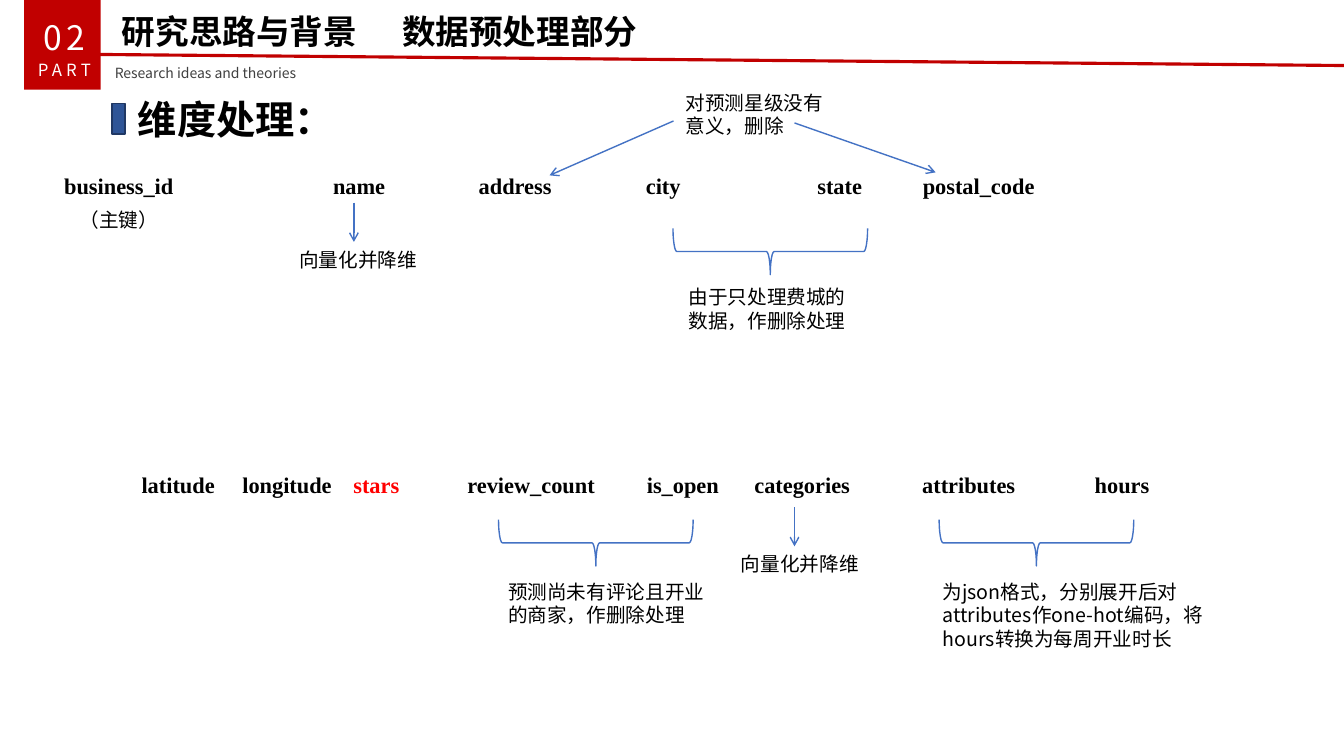
import pptx
import pptx.dml.color
import pptx.enum.shapes
import pptx.enum.text
import pptx.oxml
import pptx.oxml.ns
import pptx.util
from pptx.util import Inches

SANS = "Noto Sans CJK SC"
SERIF = "Times New Roman"
RED, BLUE, BLACK, WHITE = "C10000", "4472C4", "000000", "FFFFFF"
ALIGN = pptx.enum.text.PP_ALIGN
SHAPE = pptx.enum.shapes.MSO_SHAPE
qn = pptx.oxml.ns.qn
rgb = pptx.dml.color.RGBColor.from_string


def write(frame, text, size, font=SANS, color=BLACK, bold=False, align=ALIGN.LEFT):
    """Fill a text frame and format every run in it."""
    frame.text = text
    frame.word_wrap = True
    for paragraph in frame.paragraphs:
        paragraph.alignment = align
        for run in paragraph.runs:
            run.font.size = pptx.util.Pt(size)
            run.font.name = font
            run.font.bold = bold
            run.font.color.rgb = rgb(color)
            east_asian = run.font._element.makeelement(qn("a:ea"), {"typeface": font})
            run.font._element.find(qn("a:latin")).addnext(east_asian)
    return frame


def add_line(shapes, start, end, color, width, arrow=False):
    line = shapes.add_connector(
        pptx.enum.shapes.MSO_CONNECTOR.STRAIGHT, *map(Inches, start + end))
    line.line.color.rgb = rgb(color)
    line.line.width = pptx.util.Pt(width)
    if arrow:
        outline = line.line._get_or_add_ln()
        outline.append(outline.makeelement(qn("a:tailEnd"), {"type": "arrow"}))
    properties = line._element.spPr
    properties.append(properties.makeelement(qn("a:effectLst"), {}))


presentation = pptx.Presentation()
presentation.slide_width = Inches(13.33)
presentation.slide_height = Inches(7.5)
slide = presentation.slides.add_slide(presentation.slide_layouts[6])

# Header
header = slide.shapes.add_group_shape().shapes
title = header.add_textbox(Inches(1.11), Inches(0.06), Inches(8.31), Inches(0.91))
frame = write(title.text_frame, "研究思路与背景\t数据预处理部分", 24, bold=True)
properties = frame.paragraphs[0]._p.get_or_add_pPr()
tabs = properties.makeelement(qn("a:tabLst"), {})
tabs.append(tabs.makeelement(qn("a:tab"), {"pos": str(Inches(2.78)), "algn": "l"}))
properties.append(tabs)

subtitle = header.add_textbox(Inches(1.04), Inches(0.57), Inches(5), Inches(0.29))
write(subtitle.text_frame, "Research ideas and theories", 10, color="404040")
subtitle.text_frame.paragraphs[0].line_spacing = 1.14

badge = header.add_shape(SHAPE.RECTANGLE, Inches(0.24), 0, Inches(0.76), Inches(0.89))
badge.shadow.inherit = False
badge.fill.solid()
badge.fill.fore_color.rgb = rgb(RED)
badge.line.fill.background()

part = header.add_textbox(Inches(0.24), Inches(0.06), Inches(0.8), Inches(0.79))
write(part.text_frame, "02\nPART", 24, color=WHITE, align=ALIGN.CENTER)
for paragraph, size in zip(part.text_frame.paragraphs, (24, 12)):
    paragraph.line_spacing = 1.14
    paragraph.runs[0].font.size = pptx.util.Pt(size)
    paragraph.runs[0].font._element.set("spc", "300")
add_line(header, (0.94, 0.54), (13.33, 0.65), RED, 2.25)

# Section heading
heading = slide.shapes.add_group_shape().shapes
marker = heading.add_shape(
    SHAPE.RECTANGLE, Inches(1.11), Inches(1.03), Inches(0.13), Inches(0.3))
marker.shadow.inherit = False
marker.fill.solid()
marker.fill.fore_color.rgb = rgb("2F5597")
marker.line.color.rgb = rgb("203864")
marker.line.width = pptx.util.Pt(1)
section = heading.add_textbox(Inches(1.27), Inches(0.9), Inches(4.17), Inches(0.57))
write(section.text_frame, "维度处理：", 28, bold=True)

# Field names: left, top, height, then name and width of each column
field_rows = [
    (0.08, 1.63, 0.41, [
        ("business_id", 1.71), ("name", 2.1), ("address", 1.65), ("city", 1.28),
        ("state", 1.8), ("postal_code", 1.71), ("", 1.71)]),
    (1.04, 4.48, 0.68, [
        ("latitude", 1.16), ("longitude", 1.16), ("stars", 0.67),
        ("review_count", 1.94), ("is_open", 1.23), ("categories", 1.3),
        ("attributes", 1.64), ("hours", 1.33)]),
]
for left, top, height, fields in field_rows:
    total = sum(width for name, width in fields)
    table = slide.shapes.add_table(
        1, len(fields), Inches(left), Inches(top), Inches(total), Inches(height)).table
    table.first_row = table.horz_banding = False
    for column, cell, (name, width) in zip(table.columns, table.rows[0].cells, fields):
        column.width = Inches(width)
        cell.fill.background()
        cell.vertical_anchor = pptx.enum.text.MSO_ANCHOR.MIDDLE
        cell.margin_left = cell.margin_right = Inches(0.07)
        cell.margin_top = cell.margin_bottom = Inches(0.07)
        color = "FF0000" if name == "stars" else BLACK
        write(cell.text_frame, name, 16, SERIF, color, True, ALIGN.RIGHT)

# Braces joining two fields
for left, top in [(10.05, 4.42), (5.68, 4.42), (7.41, 1.53)]:
    brace = slide.shapes.add_shape(
        SHAPE.LEFT_BRACE, Inches(left), Inches(top), Inches(0.46), Inches(1.93))
    brace.rotation = 270
    brace.shadow.inherit = False
    brace.fill.background()
    brace.line.color.rgb = rgb(BLUE)
    brace.line.width = pptx.util.Pt(1)

# Arrows between fields and notes
for start, end in [
    ((3.51, 2.01), (3.51, 2.4)),
    ((7.88, 5.03), (7.88, 5.42)),
    ((6.68, 1.2), (5.45, 1.74)),
    ((7.88, 1.22), (9.28, 1.71)),
]:
    add_line(slide.shapes, start, end, BLUE, 1, arrow=True)

# Notes on how each field is handled
for left, top, width, text in [
    (6.73, 2.78, 1.95, "由于只处理费城的数据，作删除处理"),
    (2.87, 2.41, 1.95, "向量化并降维"),
    (4.94, 5.7, 2.25, "预测尚未有评论且开业的商家，作删除处理"),
    (9.25, 5.7, 2.96,
     "为json格式，分别展开后对attributes作one-hot编码，将hours转换为每周开业时长"),
    (7.25, 5.43, 1.95, "向量化并降维"),
    (0.69, 2.01, 1.95, "（主键）"),
    (6.7, 0.85, 1.95, "对预测星级没有\n意义，删除"),
]:
    note = slide.shapes.add_textbox(
        Inches(left), Inches(top), Inches(width), Inches(0.52))
    write(note.text_frame, text, 14)

presentation.save("out.pptx")
